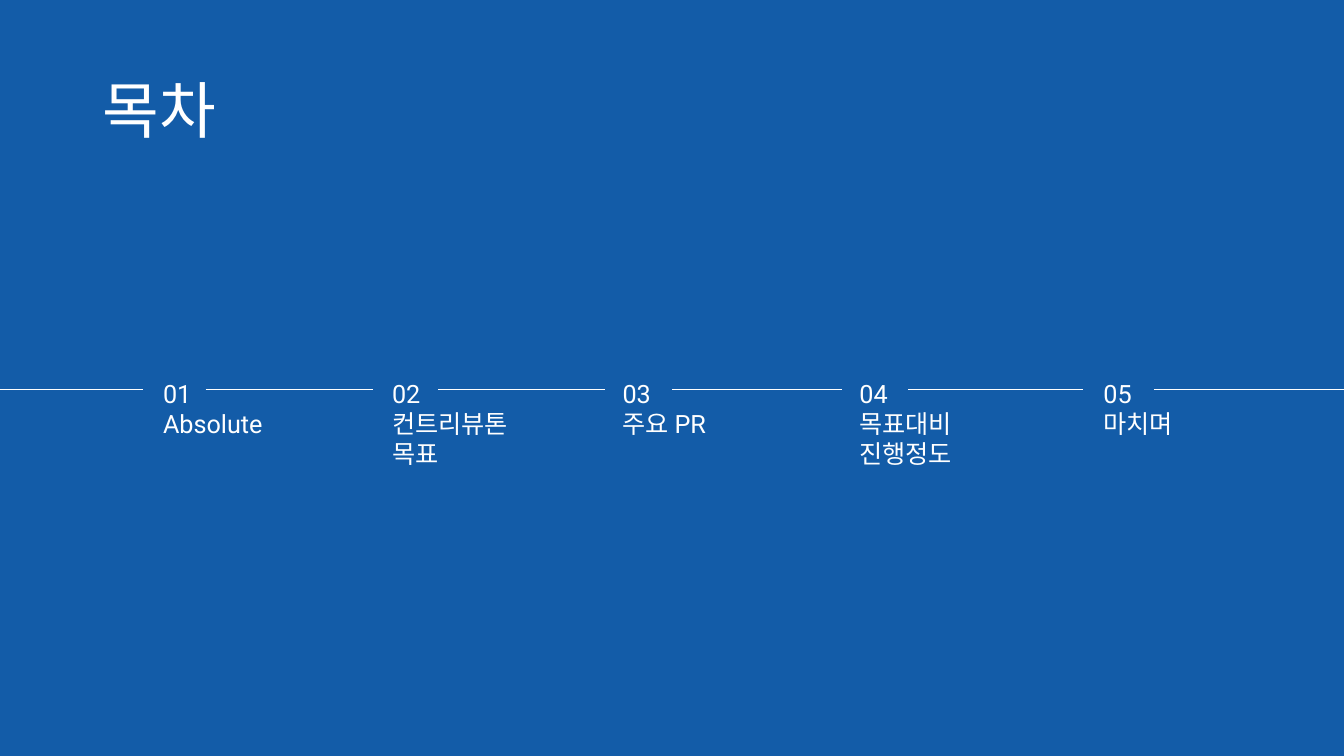
from dataclasses import dataclass

from lxml import etree
from pptx import Presentation
from pptx.dml.color import RGBColor
from pptx.enum.shapes import MSO_CONNECTOR
from pptx.enum.text import MSO_ANCHOR, MSO_AUTO_SIZE, PP_ALIGN
from pptx.oxml.ns import qn
from pptx.slide import Slide
from pptx.util import Cm, Pt

BLUE = RGBColor(0x13, 0x5C, 0xA8)
WHITE = RGBColor(0xFF, 0xFF, 0xFF)
STRAIGHT = MSO_CONNECTOR.STRAIGHT
MIDDLE = MSO_ANCHOR.MIDDLE
LEFT = PP_ALIGN.LEFT
FIT_SHAPE = MSO_AUTO_SIZE.SHAPE_TO_FIT_TEXT
NO_FIT = MSO_AUTO_SIZE.NONE

# Lengths in centimetres
SLIDE_WIDTH, SLIDE_HEIGHT = 33.87, 19.05
CHAPTER_TOP = 9.4
TIMELINE_Y = 9.8
TEXT_LINE, TEXT_PADDING = 0.77, 0.26


@dataclass(frozen=True)
class Chapter:
    left: float
    width: float
    gap_start: float  # the timeline is interrupted around the number
    gap_end: float
    heading: tuple[str, ...]


CHAPTERS = (
    Chapter(3.86, 3.43, 3.61, 5.18, ("Absolute",)),
    Chapter(9.63, 3.56, 9.4, 11.05, ("컨트리뷰톤", "목표")),
    Chapter(15.44, 2.84, 15.24, 16.94, ("주요 PR",)),
    Chapter(21.41, 2.95, 21.23, 22.89, ("목표대비", "진행정도")),
    Chapter(27.56, 2.34, 27.28, 29.08, ("마치며",)),
)


def add_heading(slide: Slide, text: str) -> None:
    heading = slide.shapes.title
    heading.left, heading.top = Cm(2.34), Cm(1.02)
    heading.width, heading.height = Cm(29.21), Cm(3.68)
    frame = heading.text_frame
    frame.text = text
    frame.auto_size = NO_FIT
    frame.vertical_anchor = MIDDLE
    paragraph = frame.paragraphs[0]
    paragraph.alignment = LEFT
    paragraph.line_spacing = 0.9
    paragraph.font.name = "Calibri"
    paragraph.font.size = Pt(44)
    paragraph.font.color.rgb = WHITE


def add_chapter(slide: Slide, number: int, chapter: Chapter) -> None:
    lines = (f"{number:02d}", *chapter.heading)
    height = TEXT_PADDING + TEXT_LINE * len(lines)
    label = slide.shapes.add_textbox(
        Cm(chapter.left), Cm(CHAPTER_TOP), Cm(chapter.width), Cm(height)
    )
    frame = label.text_frame
    frame.text = "\n".join(lines)
    frame.word_wrap = False
    frame.auto_size = FIT_SHAPE
    for paragraph in frame.paragraphs:
        paragraph.font.name = "Roboto"
        paragraph.font.size = Pt(18)
        paragraph.font.color.rgb = WHITE


def add_timeline_segment(slide: Slide, start: float, end: float) -> None:
    segment = slide.shapes.add_connector(
        STRAIGHT, Cm(start), Cm(TIMELINE_Y), Cm(end), Cm(TIMELINE_Y)
    )
    segment.line.color.rgb = WHITE
    segment.line.width = Pt(0.4)
    etree.SubElement(segment._element.spPr, qn("a:effectLst"))


def main() -> None:
    deck = Presentation()
    deck.slide_width, deck.slide_height = Cm(SLIDE_WIDTH), Cm(SLIDE_HEIGHT)
    slide = deck.slides.add_slide(deck.slide_layouts.get_by_name("Title Only"))
    slide.background.fill.solid()
    slide.background.fill.fore_color.rgb = BLUE

    # Title and chapters
    add_heading(slide, "목차")
    for number, chapter in enumerate(CHAPTERS, start=1):
        add_chapter(slide, number, chapter)

    # Timeline running edge to edge between the chapter numbers
    starts = (0, *(chapter.gap_end for chapter in CHAPTERS))
    ends = (*(chapter.gap_start for chapter in CHAPTERS), SLIDE_WIDTH)
    for start, end in zip(starts, ends):
        add_timeline_segment(slide, start, end)

    deck.save("out.pptx")


if __name__ == "__main__":
    main()
